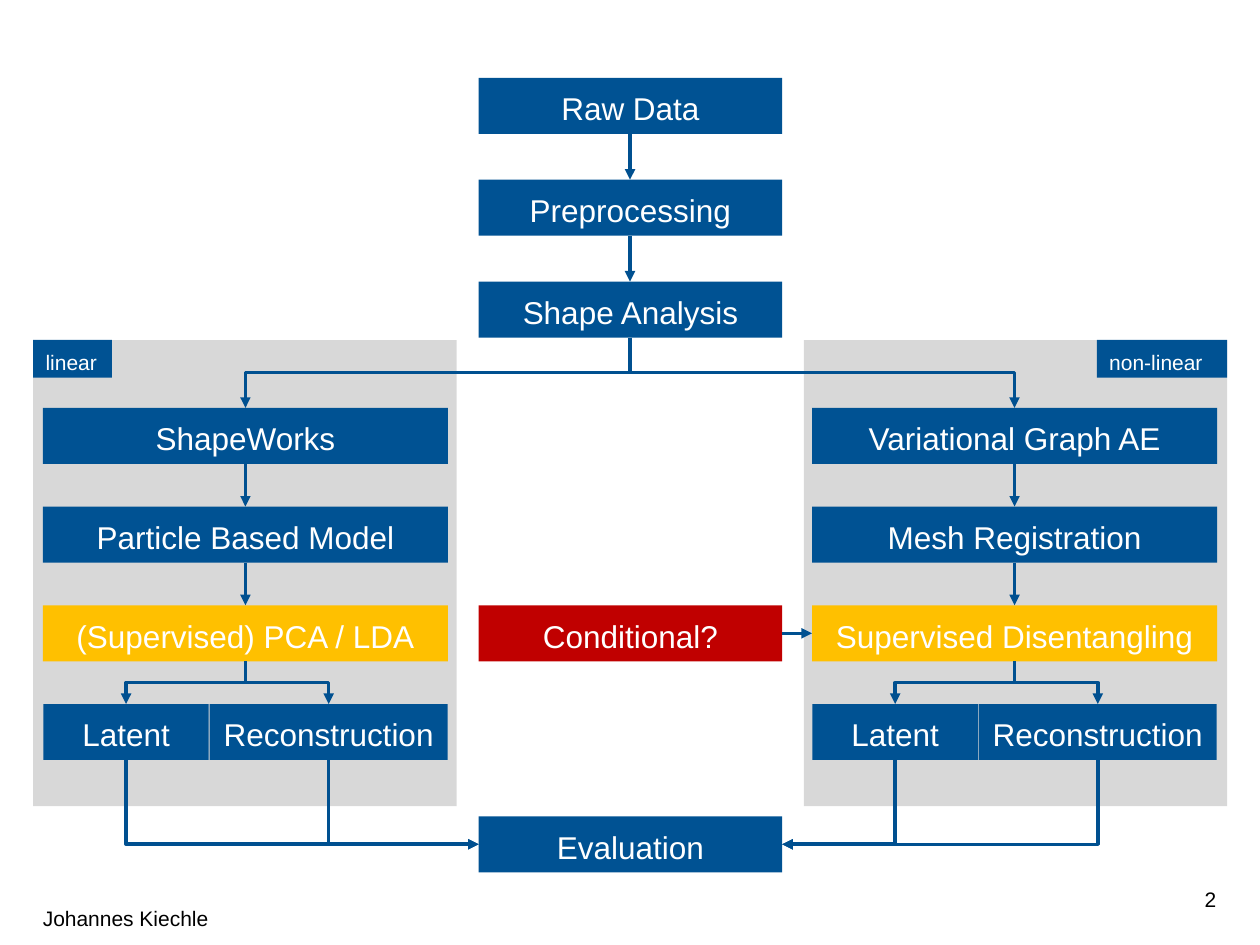
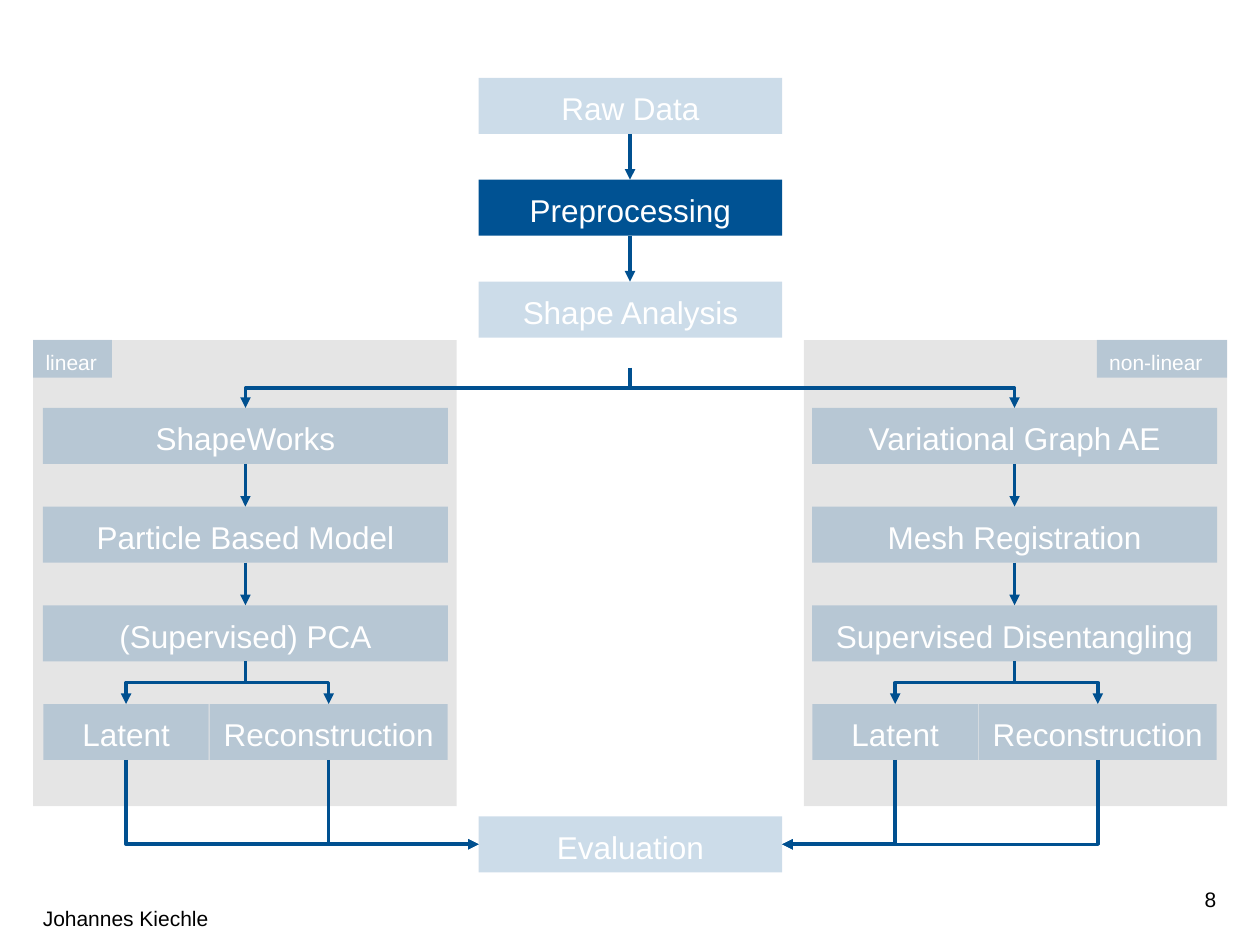
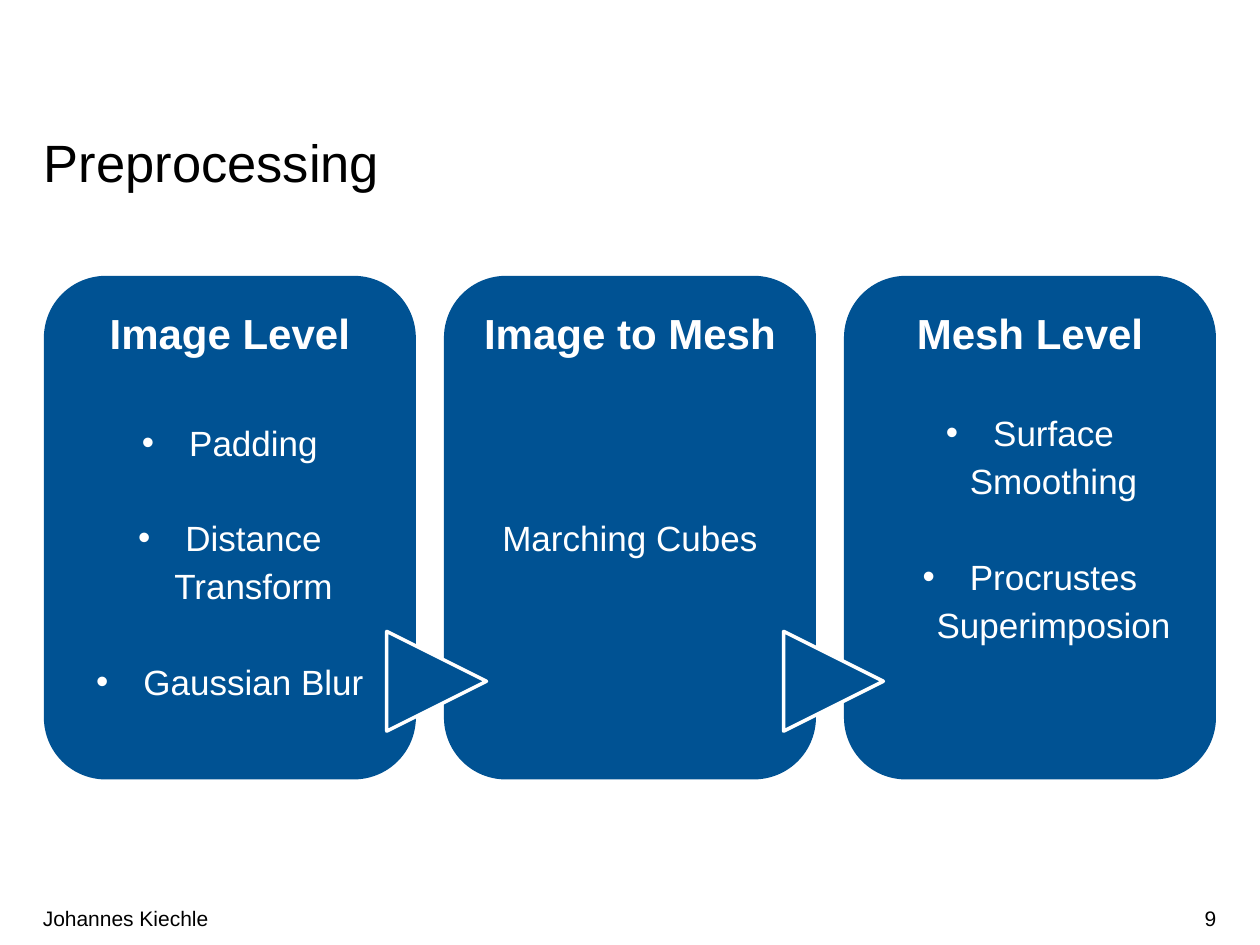
"""Draws a shape analysis pipeline, its preprocessing step and the details."""
from lxml.etree import SubElement as Sub
from pptx import Presentation
from pptx.dml.color import RGBColor as Rgb
from pptx.enum.shapes import MSO_CONNECTOR as Link, MSO_SHAPE as Form
from pptx.enum.text import MSO_ANCHOR as Anchor, MSO_AUTO_SIZE as Fit, PP_ALIGN as Align
from pptx.oxml.ns import qn
from pptx.util import Pt

HUES = {"blue": "005293", "line": "005090", "gold": "FFC000", "red": "C00000",
        "gray": "808080", "white": "FFFFFF", "black": "000000"}
FONT = "Arial"
LEAD = 1.14
HIGH = 32
MID, WIDE = 273.5, 173.5
TOPS = [44.5 + 58.2 * i for i in range(3)]
ROWS = [233.1 + 56.4 * i for i in range(4)]
LAST = 466.5
LANE = 231.5
STEMS = ("Raw Data", "Preprocessing", "Shape Analysis")
RIGHT = ("Variational Graph AE", "Mesh Registration", "Supervised Disentangling")


class Deck:
    def __init__(self):
        self.prs = Presentation()
        self.prs.slide_width, self.prs.slide_height = Pt(720), Pt(540)
        self.page = None

    def start(self, title=None):
        layout = self.prs.slide_layouts[5 if title else 6]
        self.page = self.prs.slides.add_slide(layout)
        if title:
            head = self.page.shapes.title
            head.left, head.top, head.width, head.height = map(Pt, (25, 78.5, 670, 32))
            frame = head.text_frame
            frame.margin_left = frame.margin_right = 0
            frame.margin_top = frame.margin_bottom = 0
            frame.auto_size = Fit.NONE
            frame.vertical_anchor = Anchor.TOP
            frame.text = title
            self.style(frame.paragraphs[0], 30, "black", Align.LEFT, Pt(32))

    def style(self, para, size, hue, align, lead=None, bold=False):
        para.alignment = align
        para.line_spacing = lead
        for run in para.runs:
            font = run.font
            font.name, font.size, font.bold = FONT, Pt(size), bold
            font.color.rgb = Rgb.from_string(HUES[hue])

    def shape(self, form, x, y, w, h, hue="blue", alpha=100):
        item = self.page.shapes.add_shape(form, Pt(x), Pt(y), Pt(w), Pt(h))
        item.shadow.inherit = False
        item.fill.solid()
        item.fill.fore_color.rgb = Rgb.from_string(HUES[hue])
        if alpha < 100:
            tint = item._element.spPr.find(".//" + qn("a:srgbClr"))
            Sub(tint, qn("a:alpha"), val=str(alpha * 1000))
        item.line.fill.background()
        item.text_frame.vertical_anchor = Anchor.TOP
        return item

    def node(self, text, x, y, w, hue="blue", alpha=100, h=HIGH, size=18, align=Align.CENTER):
        frame = self.shape(Form.RECTANGLE, x, y, w, h, hue, alpha).text_frame
        frame.text = text
        self.style(frame.paragraphs[0], size, "white", align, LEAD)

    def label(self, text, x, y, w, align):
        frame = self.page.shapes.add_textbox(Pt(x), Pt(y), Pt(w), Pt(29)).text_frame
        frame.word_wrap = True
        frame.margin_left = frame.margin_right = 0
        frame.vertical_anchor = Anchor.MIDDLE
        frame.text = text
        self.style(frame.paragraphs[0], 12, "black", align)

    def foot(self, num, y=510):
        self.label(str(num), 533.5, y, 161.5, Align.RIGHT)
        self.label("Johannes Kiechle", 24.5, 510, 509, Align.LEFT)

    def arrow(self, x1, y1, x2, y2, kind=Link.STRAIGHT):
        item = self.page.shapes.add_connector(kind, Pt(x1), Pt(y1), Pt(x2), Pt(y2))
        item.line.width = Pt(2)
        item.line.color.rgb = Rgb.from_string(HUES["line"])
        props = item._element.spPr
        Sub(props.find(qn("a:ln")), qn("a:tailEnd"), type="triangle")
        Sub(props, qn("a:effectLst"))
        return props

    def bend(self, x1, y1, x2, y2, turns=2):
        cx, cy = (x1 + x2) / 2, (y1 + y2) / 2
        dx, dy = abs(x2 - x1) / 2, (y2 - y1) / 2
        props = self.arrow(cx - dy, cy - dx, cx + dy, cy + dx, Link.ELBOW)
        frame = props.find(qn("a:xfrm"))
        frame.set("rot", str((270 if x2 > x1 else 90) * 60000))
        if x2 > x1:
            frame.set("flipH", "1")
        props.find(qn("a:prstGeom")).set("prst", f"bentConnector{turns + 1}")

    def lane(self, x, names, hue, alpha, fork, edge):
        mid = x + LANE / 2
        for name, y, tone in zip(names, ROWS, ("blue", "blue", hue)):
            self.node(name, x, y, LANE, tone, alpha)
        self.bend(360, fork, mid, ROWS[0])
        for top, low in zip(ROWS[:2], ROWS[1:3]):
            self.arrow(mid, top + HIGH, mid, low)
        for name, left, w in (("Latent", x + 0.3, 94.5), ("Reconstruction", x + 95.3, 136)):
            self.node(name, left, ROWS[3], w, "blue", alpha)
            end = left + w / 2
            self.bend(mid, ROWS[2] + HIGH, end, ROWS[3])
            self.bend(end, ROWS[3] + HIGH, edge, LAST + HIGH / 2, 1)

    def flow(self, num, third, hue="blue", fade=100, haze=30, fork=TOPS[2] + HIGH):
        self.start()
        for x in (459.3, 19):
            self.shape(Form.RECTANGLE, x, 194.4, 242, 266.2, "gray", haze)
        self.foot(num, 499)
        for name, y in zip(STEMS, TOPS):
            self.node(name, MID, y, WIDE, "blue", 100 if name == "Preprocessing" else fade)
        for top, low in zip(TOPS, TOPS[1:]):
            self.arrow(360, top + HIGH, 360, low)
        self.node("Evaluation", MID, LAST, WIDE, "blue", fade)
        left = ("ShapeWorks", "Particle Based Model", third)
        self.lane(24.5, left, hue, fade, fork, MID)
        self.lane(464, RIGHT, hue, fade, fork, MID + WIDE)
        for name, x, w in (("linear", 19, 45), ("non-linear", 626.8, 74.5)):
            self.node(name, x, 194.2, w, "blue", fade, 21.6, 12, Align.LEFT)

    def card(self, x, head, items, gap, dots=True):
        frame = self.shape(Form.ROUNDED_RECTANGLE, x, 157.6, 212.6, 287.8).text_frame
        frame.text = "\n".join([head, *items])
        first, *rest = frame.paragraphs
        self.style(first, 24, "white", Align.CENTER, LEAD, True)
        for i, para in enumerate(rest):
            self.style(para, 20, "white", Align.CENTER, LEAD)
            para.space_before = Pt(27.4 if i else gap)
            if dots:
                props = para._p.get_or_add_pPr()
                props.set("marL", str(Pt(27)))
                props.set("indent", str(-Pt(27)))
                Sub(props, qn("a:buFont"), typeface=FONT)
                Sub(props, qn("a:buChar"), char="•")

    def wedge(self, x):
        item = self.shape(Form.ISOSCELES_TRIANGLE, x, 360.8, 57, 57)
        item.rotation = 90
        item.line.width = Pt(2)
        item.line.color.rgb = Rgb.from_string(HUES["white"])


def main():
    deck = Deck()
    deck.flow(2, "(Supervised) PCA / LDA", "gold")
    deck.node("Conditional?", MID, ROWS[2], WIDE, "red")
    deck.arrow(MID + WIDE, ROWS[2] + HIGH / 2, 464, ROWS[2] + HIGH / 2)
    deck.flow(8, "(Supervised) PCA", fade=20, haze=20, fork=210.3)
    deck.start("Preprocessing")
    deck.foot(9)
    cards = (("Image Level", ("Padding", "Distance Transform", "Gaussian Blur"), 32.9, True),
             ("Image to Mesh", ("Marching Cubes",), 87.7, False),
             ("Mesh Level", ("Surface Smoothing", "Procrustes Superimposion"), 27.4, True))
    for i, card in enumerate(cards):
        deck.card(25.1 + 228.6 * i, *card)
    for x in (221, 447.8):
        deck.wedge(x)
    deck.prs.save("out.pptx")


if __name__ == "__main__":
    main()
